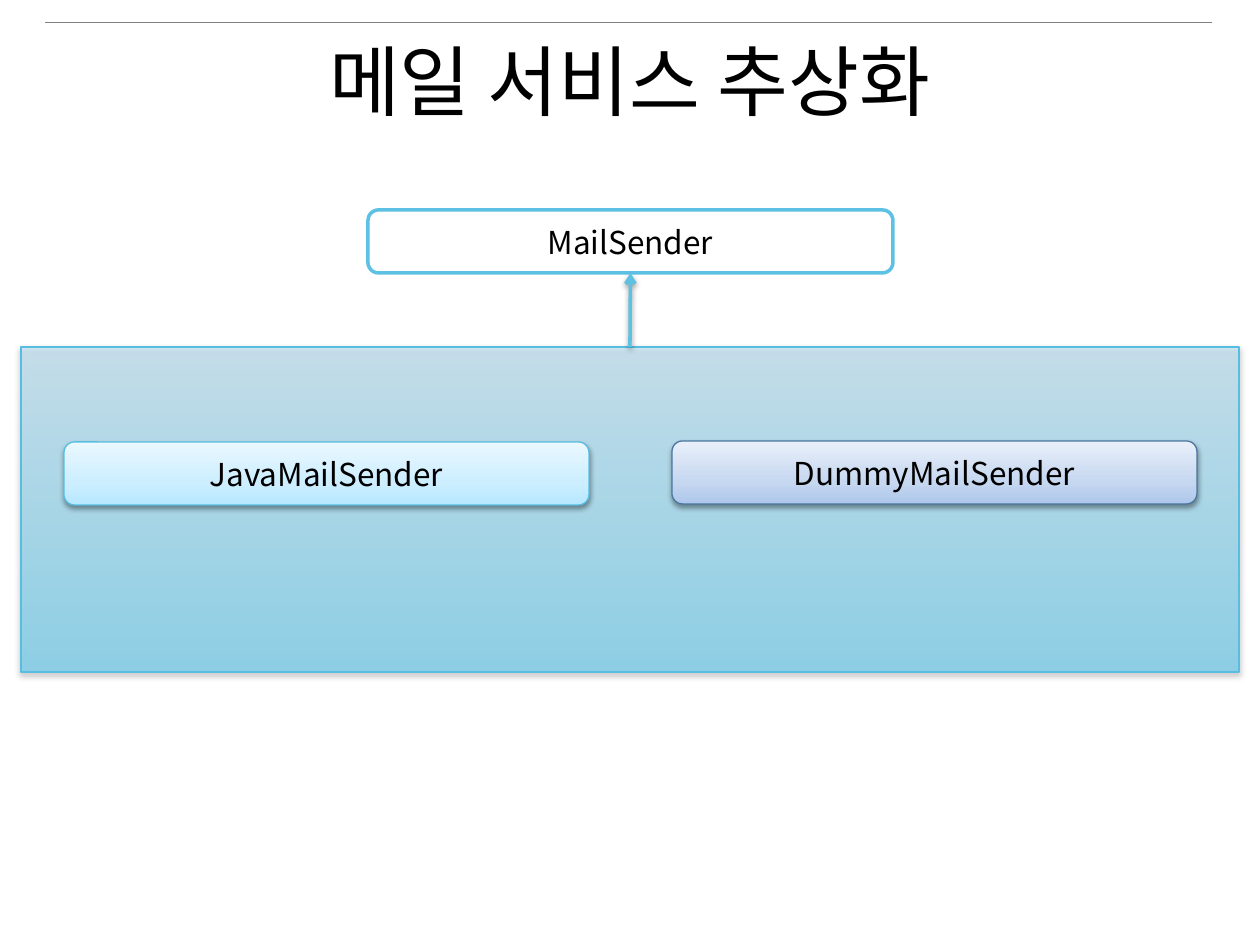
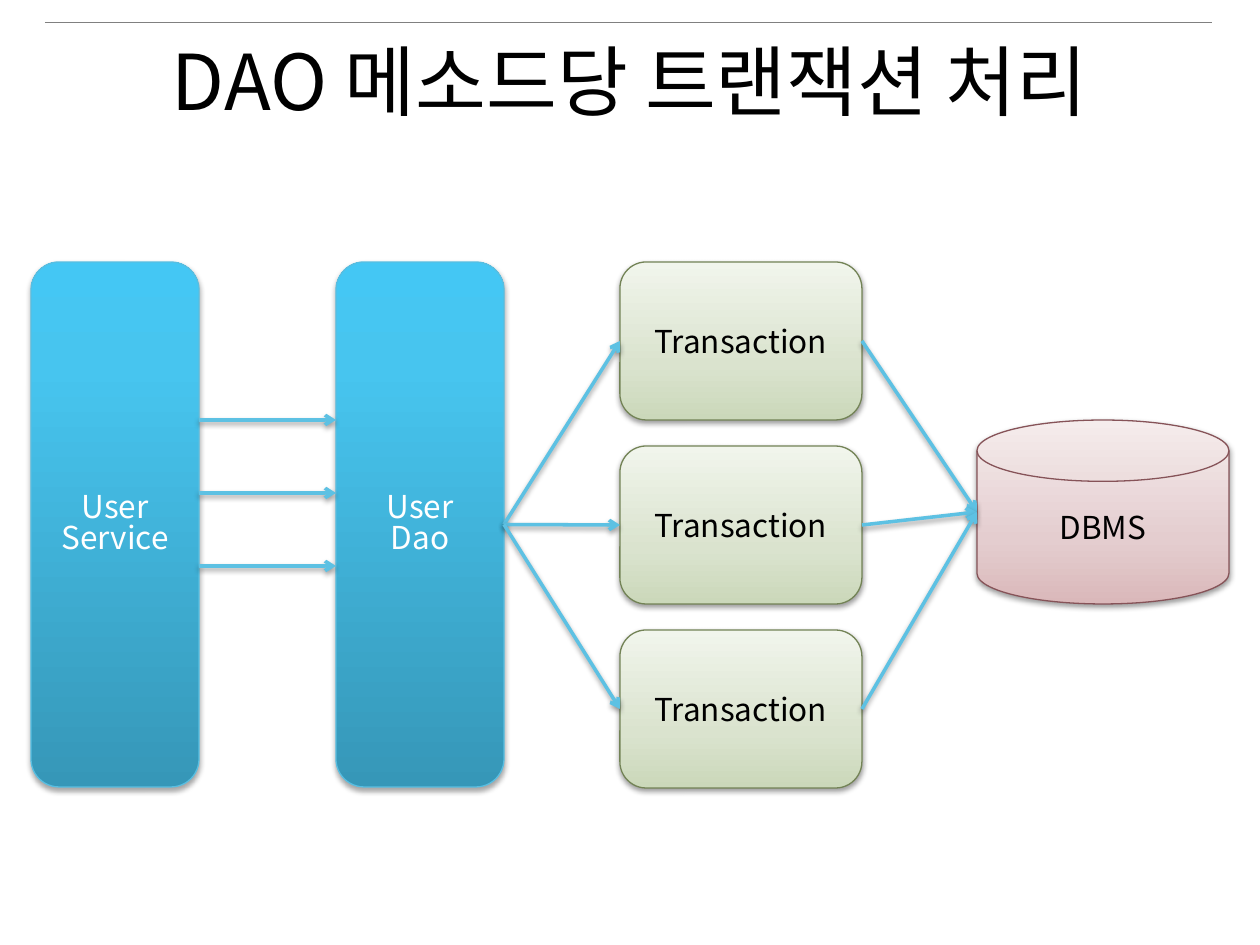
from lxml import etree
from pptx import Presentation
from pptx import util as u
from pptx.dml.color import RGBColor
from pptx.enum import shapes, text
from pptx.oxml.ns import qn

PX = 914400 // 126
FONT = "Noto Sans CJK KR"
HUES = {
    "black": "000000", "white": "FFFFFF", "rule": "808080",
    "arrow": "5DC1E3", "sky": "58BEE1", "navy": "4B769F",
    "olive": "738356", "wine": "865358",
}
FADES = {
    "panel": [(0, "49CBF7"), (100, "B7E7FF")],
    "pale": [(0, "B7E7FF"), (35, "CCEEFF"), (100, "EBF8FF")],
    "blue": [(0, "ADC7EB"), (35, "C6D7F0"), (100, "E9F0FA")],
    "deep": [(0, "3697B8"), (80, "47C5EF"), (100, "44C7F4")],
    "green": [(0, "CBD8BA"), (35, "DAE3CE"), (100, "F1F5EC")],
    "pink": [(0, "DAB8BA"), (35, "E4CDCF"), (100, "F5ECEC")],
}
KIND = shapes.MSO_SHAPE
TOP, LEFT, BOTTOM, RIGHT = range(4)


def px(*nums):
    return [u.Emu(n * PX) for n in nums]


def rgb(name):
    return RGBColor.from_string(HUES[name])


def sub(node, tag, **attrs):
    return etree.SubElement(node, qn(tag), {k: str(v) for k, v in attrs.items()})


def tint(node, hue, alpha):
    color = sub(node, "a:srgbClr", val=hue)
    if alpha < 100:
        sub(color, "a:alpha", val=alpha * 1000)


def shade(shape, alpha=38, dist=20000):
    effect = sub(shape.element.spPr, "a:effectLst")
    if alpha:
        outer = sub(effect, "a:outerShdw", blurRad=40000, dist=dist,
                    dir=5400000, rotWithShape=0)
        tint(outer, HUES["black"], alpha)


def fade(shape, name, alpha):
    shape.fill.gradient()
    shape.fill.gradient_angle = 90
    stops = shape.element.spPr.find(qn("a:gradFill")).find(qn("a:gsLst"))
    for stop in list(stops):
        stops.remove(stop)
    for pos, hue in FADES[name]:
        tint(sub(stops, "a:gs", pos=pos * 1000), hue, alpha)


def style(par, size, hue):
    par.alignment = text.PP_ALIGN.CENTER
    par.font.size = u.Pt(size)
    par.font.name = FONT
    par.font.color.rgb = rgb(hue)
    sub(par._p.pPr.find(qn("a:defRPr")), "a:ea", typeface=FONT)


def block(slide, box, words, grad, edge, kind=KIND.ROUNDED_RECTANGLE,
          ink="black", width=0.75, alpha=100, dark=38, dist=20000):
    shape = slide.shapes.add_shape(kind, *px(*box))
    if grad:
        fade(shape, grad, alpha)
    else:
        shape.fill.solid()
        shape.fill.fore_color.rgb = rgb("white")
    shape.line.color.rgb = rgb(edge)
    shape.line.width = u.Pt(width)
    shade(shape, dark, dist)
    if words:
        frame = shape.text_frame
        frame.text = words
        frame.vertical_anchor = text.MSO_ANCHOR.MIDDLE
        for par in frame.paragraphs:
            if len(frame.paragraphs) > 1:
                par.line_spacing = 0.83
            style(par, 18, ink)
    return shape


def stroke(slide, ends, hue, width):
    line = slide.shapes.add_connector(shapes.MSO_CONNECTOR.STRAIGHT, *px(*ends))
    line.line.color.rgb = rgb(hue)
    line.line.width = u.Pt(width)
    return line


def arrow(slide, ends=(0, 0, 0, 0), start=None, stop=None):
    line = stroke(slide, ends, "arrow", 2)
    if start:
        line.begin_connect(*start)
    if stop:
        line.end_connect(*stop)
    sub(line.line._get_or_add_ln(), "a:tailEnd", type="arrow")
    shade(line)


def rule(deck, slide):
    line = stroke(slide, (45, 22, 1212, 22), "rule", 0.25)
    shade(line, 0)
    line.element[0][0].set("id", "20")
    deck.slide_master.shapes.element.append(line.element)


def page(deck, words):
    slide = deck.slides.add_slide(deck.slide_layouts[5])
    title = slide.shapes.title
    title.left, title.top, title.width, title.height = px(63, 38, 1134, 158)
    frame = title.text_frame
    frame.text = words
    frame.vertical_anchor = text.MSO_ANCHOR.TOP
    frame.paragraphs[0].line_spacing = 0.9
    style(frame.paragraphs[0], 44, "black")
    return slide


def mail(slide, x, y):
    root = block(slide, (x + 347, y, 525, 63), "MailSender", None, "arrow",
                 width=2, dark=0)
    panel = block(slide, (x, y + 137, 1218, 325), "", "panel", "sky",
                  KIND.RECTANGLE, alpha=50, dark=35, dist=23000)
    block(slide, (x + 43, y + 232, 525, 63), "JavaMailSender", "pale", "sky")
    arrow(slide, start=(panel, TOP), stop=(root, BOTTOM))
    block(slide, (x + 651, y + 231, 525, 63), "DummyMailSender", "blue", "navy")


def flow(slide, x, y):
    user, dao = [
        block(slide, (x + dx, y, 168, 525), words, "deep", "sky",
              ink="white", dark=35, dist=23000)
        for dx, words in ((0, "User\nService"), (305, "User\nDao"))
    ]
    deals = [
        block(slide, (x + 589, y + 184 * i, 242, 158), "Transaction",
              "green", "olive")
        for i in range(3)
    ]
    block(slide, (x + 946, y + 158, 252, 184), "DBMS", "pink", "wine",
          KIND.FLOWCHART_MAGNETIC_DISK)
    for i in range(3):
        row = y + 158 + 73 * i
        arrow(slide, (x + 168, row, x + 305, row))
    for deal in deals:
        arrow(slide, start=(dao, RIGHT), stop=(deal, LEFT))
    for deal in deals:
        arrow(slide, (0, 0, x + 946, y + 250), start=(deal, RIGHT))


def main():
    deck = Presentation()
    deck.slide_width, deck.slide_height = u.Inches(10), u.Inches(7.5)
    first = page(deck, "메일 서비스 추상화")
    rule(deck, first)
    mail(first, 21, 210)
    flow(page(deck, "DAO 메소드당 트랜잭션 처리"), 31, 262)
    deck.save("out.pptx")


if __name__ == "__main__":
    main()
